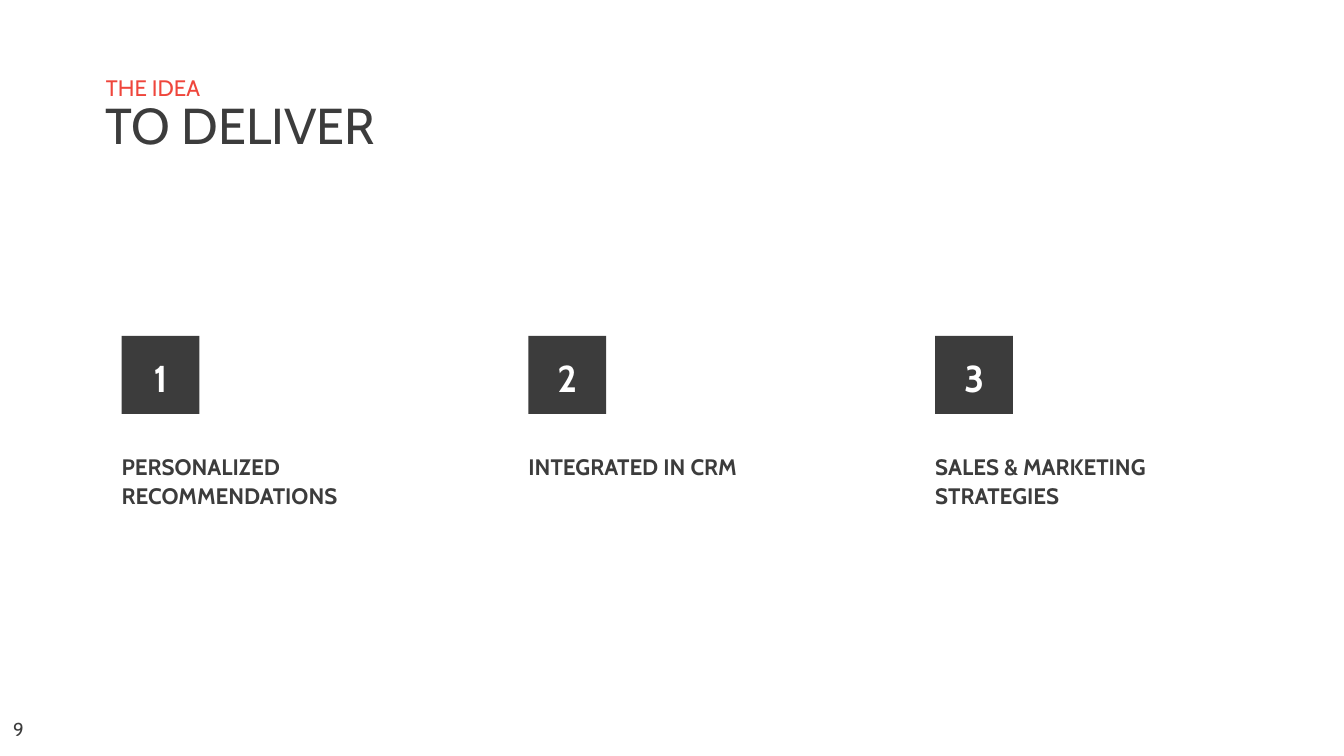
from pptx import Presentation
from pptx.dml.color import RGBColor
from pptx.enum.shapes import MSO_SHAPE
from pptx.enum.text import MSO_ANCHOR, PP_ALIGN
from pptx.util import Pt

RECTANGLE = MSO_SHAPE.RECTANGLE
TOP, MIDDLE, BOTTOM = MSO_ANCHOR.TOP, MSO_ANCHOR.MIDDLE, MSO_ANCHOR.BOTTOM
LEFT, CENTER = PP_ALIGN.LEFT, PP_ALIGN.CENTER

FONT = "Cabin"
DARK, RED, WHITE = "3C3C3C", "EF463C", "FFFFFF"
BADGE_SIZE = 41.7
LABEL_OFFSET, LABEL_HEIGHT = 61.2, 31.7


def color(hex_code):
    return RGBColor.from_string(hex_code)


def write(shape, text, size, hex_code=DARK, bold=False, anchor=TOP,
          align=LEFT, spacing=1.0, insets=(0, 0, 0, 0)):
    frame = shape.text_frame
    frame.word_wrap = True
    frame.vertical_anchor = anchor
    (frame.margin_left, frame.margin_top,
     frame.margin_right, frame.margin_bottom) = map(Pt, insets)
    frame.text = text
    paragraph = frame.paragraphs[0]
    paragraph.alignment = align
    paragraph.line_spacing = spacing
    font = paragraph.runs[0].font
    font.name, font.size, font.bold = FONT, Pt(size), bold
    font.color.rgb = color(hex_code)


def add_text(slide, left, top, width, height, text, size, **style):
    box = slide.shapes.add_textbox(Pt(left), Pt(top), Pt(width), Pt(height))
    write(box, text, size, **style)


def add_heading(slide, left, top, width, kicker, title):
    kicker_height, title_height = 28.8, 24.5
    add_text(slide, left, top, width, kicker_height, kicker, 12, hex_code=RED,
             anchor=BOTTOM, spacing=1.1, insets=(7.2, 3.6, 7.2, 0))
    add_text(slide, left, top + kicker_height, width, title_height, title, 27,
             spacing=0.9, insets=(7.2, 0, 7.2, 3.6))


def add_goal(slide, left, top, width, number, label):
    # Numbered square
    badge = slide.shapes.add_shape(
        RECTANGLE, Pt(left), Pt(top), Pt(BADGE_SIZE), Pt(BADGE_SIZE))
    badge.shadow.inherit = False
    badge.fill.solid()
    badge.fill.fore_color.rgb = color(DARK)
    badge.line.fill.background()
    write(badge, str(number), 20, hex_code=WHITE, bold=True, anchor=MIDDLE,
          align=CENTER, spacing=1.1)
    # Label below it
    add_text(slide, left, top + LABEL_OFFSET, width, LABEL_HEIGHT, label, 12,
             bold=True, spacing=1.1)


def add_goals(slide, left, top, pitch, goals):
    for index, (label, width) in enumerate(goals):
        add_goal(slide, left + index * pitch, top, width, index + 1, label)


def add_page_number(slide, left, top, width, height, number):
    add_text(slide, left, top, width, height, str(number), 10, anchor=MIDDLE,
             insets=(7.2, 3.6, 7.2, 3.6))


def main():
    deck = Presentation()
    deck.slide_width, deck.slide_height = Pt(720), Pt(405)
    slide = deck.slides.add_slide(deck.slide_layouts[6])
    slide.background.fill.solid()
    slide.background.fill.fore_color.rgb = color(WHITE)

    add_page_number(slide, 0, 381, 144, 19.4, 9)
    add_heading(slide, 49.7, 25.2, 472.3, "THE IDEA", "TO DELIVER")
    add_goals(slide, 65.2, 180, 217.9, [
        ("PERSONALIZED RECOMMENDATIONS", 133),
        ("INTEGRATED IN CRM", 123),
        ("SALES & MARKETING STRATEGIES", 132),
    ])
    deck.save("out.pptx")


if __name__ == "__main__":
    main()
